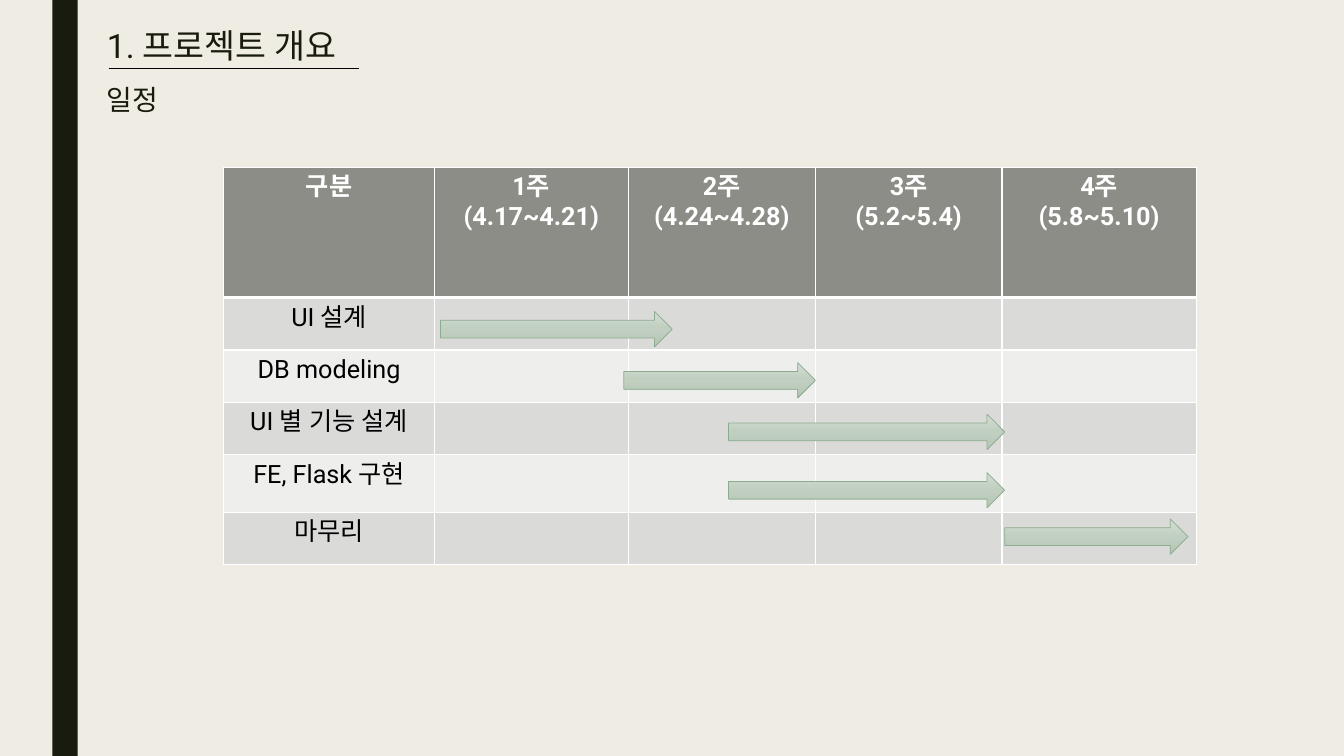
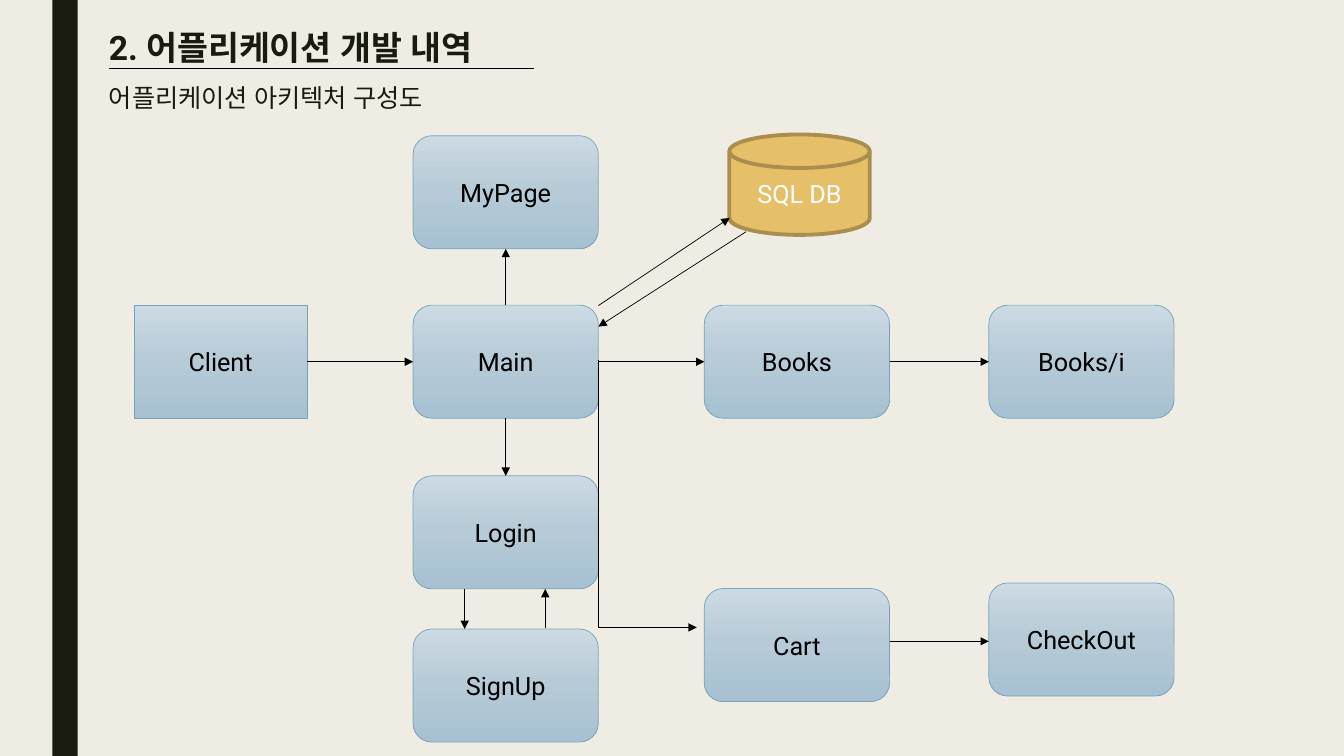
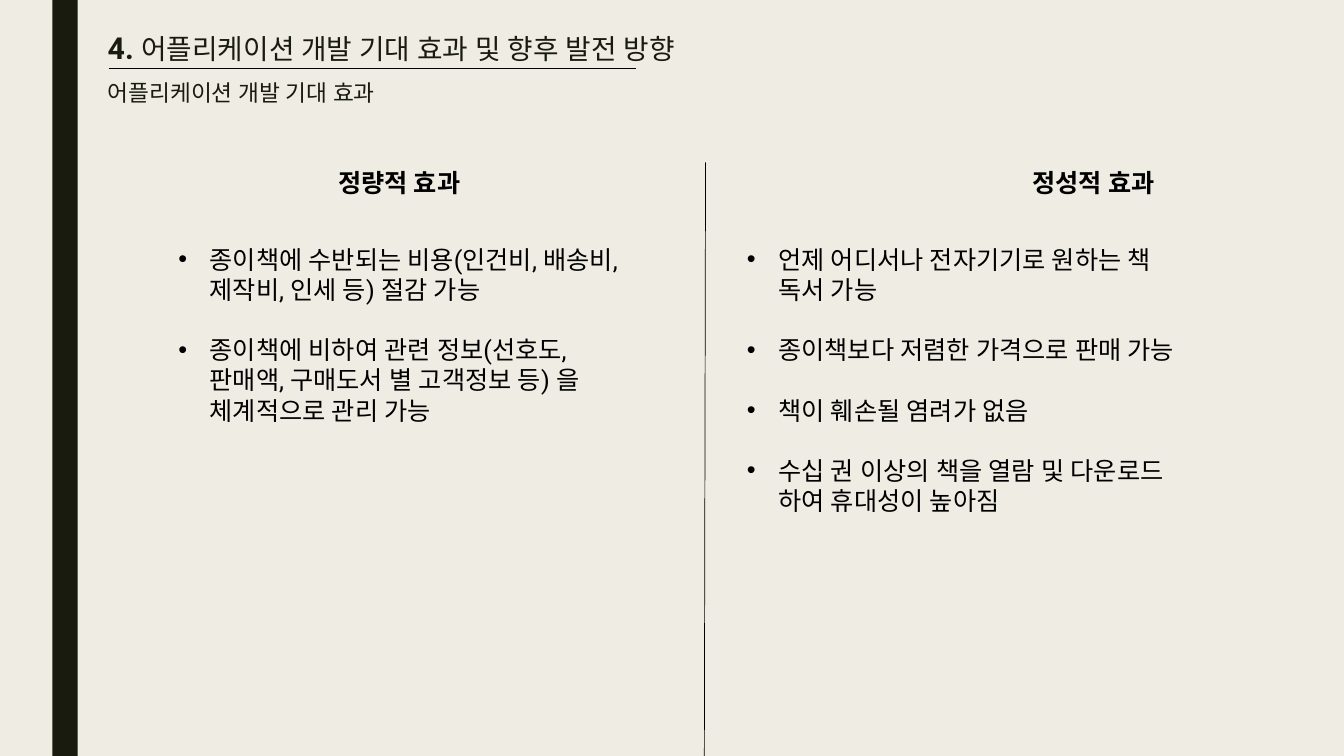
from copy import deepcopy

from lxml import etree
from pptx import Presentation
from pptx.dml.color import RGBColor
from pptx.enum.shapes import MSO_CONNECTOR, MSO_SHAPE
from pptx.enum.text import MSO_ANCHOR, MSO_AUTO_SIZE, PP_ALIGN
from pptx.oxml.ns import qn
from pptx.util import Cm, Pt

RECTANGLE, ROUNDED = MSO_SHAPE.RECTANGLE, MSO_SHAPE.ROUNDED_RECTANGLE
PROCESS, DISK = MSO_SHAPE.FLOWCHART_PROCESS, MSO_SHAPE.FLOWCHART_MAGNETIC_DISK
ARROW = MSO_SHAPE.RIGHT_ARROW
STRAIGHT, ELBOW = MSO_CONNECTOR.STRAIGHT, MSO_CONNECTOR.ELBOW
LEFT, CENTER = PP_ALIGN.LEFT, PP_ALIGN.CENTER
TOP = MSO_ANCHOR.TOP
TOP_SITE, LEFT_SITE, BOTTOM_SITE, RIGHT_SITE = range(4)
TITLE_ONLY, COMPARISON = 5, 4

FONT = "Roboto"
CREAM = RGBColor(0xEF, 0xED, 0xE3)
INK = RGBColor(0x19, 0x1B, 0x0E)
BLACK = RGBColor(0, 0, 0)
WHITE = RGBColor(0xFF, 0xFF, 0xFF)
HEADER_GREY = RGBColor(0x8C, 0x8D, 0x86)
ROW_GREYS = (RGBColor(0xDA, 0xDB, 0xD9), RGBColor(0xEE, 0xEE, 0xED))
GREEN_LINE = RGBColor(0x8D, 0xAB, 0x8E)
GREENS = (RGBColor(0xD3, 0xDD, 0xD3), RGBColor(0xC0, 0xCF, 0xC0), RGBColor(0xB4, 0xC7, 0xB5))
BLUE_LINE = RGBColor(0x77, 0xA2, 0xBB)
BLUES = (RGBColor(0xCC, 0xDA, 0xE3), RGBColor(0xB6, 0xCA, 0xD7), RGBColor(0xA7, 0xC1, 0xD2))
GOLD, GOLD_LINE = RGBColor(0xE6, 0xC0, 0x69), RGBColor(0xAA, 0x8E, 0x4E)

# Content; all lengths are in centimetres
SLIDE_WIDTH, SLIDE_HEIGHT = 33.87, 19.05

# Title: box, end of the rule, lines made of (text, size, bold) runs
SCHEDULE_TITLE = ((2.44, 0, 9.19, 3.05), 9.04,
                  [[("1. 프로젝트 개요", 24, False)], [("일정", 20, False)]])
DIAGRAM_TITLE = ((2.49, 0.05, 14.43, 3.05), 13.46,
                 [[("2. 어플리케이션 개발 내역", 24, True)],
                  [("어플리케이션 아키텍처 구성도", 18, False)]])
EFFECTS_TITLE = ((2.46, 0.15, 20.32, 3.05), 16.03,
                 [[("4. ", 21.6, True),
                   ("어플리케이션 개발 기대 효과 및 향후 발전 방향", 19.8, False)],
                  [("어플리케이션 개발 기대 효과", 16.2, False)]])

WEEKS = [["구분"], ["1주", "(4.17~4.21)"], ["2주", "(4.24~4.28)"],
         ["3주", "(5.2~5.4)"], ["4주", "(5.8~5.10)"]]
TASKS = ["UI 설계", "DB modeling", "UI 별 기능 설계", "FE, Flask 구현", "마무리"]
TABLE_LEFT, TABLE_TOP = 5.64, 4.22
COLUMN_WIDTHS = (5.31, 4.88, 4.72, 4.7, 4.9)
ROW_HEIGHTS = (3.28, 1.32, 1.32, 1.32, 1.45, 1.32)
BAR_HEIGHT = 0.89
BARS = [(11.1, 7.85, 5.84), (15.72, 9.14, 4.83), (18.36, 10.44, 6.96),
        (18.36, 11.91, 6.96), (25.32, 13.08, 4.62)]

NODE_WIDTH, NODE_HEIGHT = 4.67, 2.85
CLIENT_WIDTH = 4.36
MAIN_COLUMN, BOOKS_COLUMN, DETAIL_COLUMN = 10.41, 17.75, 24.92
MAIN_ROW = 7.69
NODES = {"Main": (MAIN_COLUMN, MAIN_ROW), "Login": (MAIN_COLUMN, 11.99),
         "Cart": (BOOKS_COLUMN, 14.83), "Books": (BOOKS_COLUMN, MAIN_ROW),
         "MyPage": (MAIN_COLUMN, 3.42), "CheckOut": (DETAIL_COLUMN, 14.69),
         "SignUp": (MAIN_COLUMN, 15.85), "Client": (3.38, MAIN_ROW),
         "Books/i": (DETAIL_COLUMN, MAIN_ROW)}
DATABASE = ("SQL DB", (18.38, 3.39, 3.54, 2.53))
GLUED_ARROWS = [("Client", RIGHT_SITE, "Main", LEFT_SITE),
                ("Main", RIGHT_SITE, "Books", LEFT_SITE),
                ("Books", RIGHT_SITE, "Books/i", LEFT_SITE),
                ("Main", TOP_SITE, "MyPage", BOTTOM_SITE),
                ("Main", BOTTOM_SITE, "Login", TOP_SITE)]
FREE_ARROWS = [((11.71, 14.84), (11.71, 15.85)), ((13.74, 15.82), (13.74, 14.84)),
               ((22.42, 16.16), (24.92, 16.16)),
               ((15.08, 7.7), (18.39, 5.49)), ((18.8, 5.84), (15.08, 8.23))]
CART_ARROW = ((15.07, 9.08), (17.56, 15.81))

HEADING_TOP, HEADING_WIDTH, HEADING_HEIGHT = 4.09, 10.16, 1.02
LIST_TOP, LIST_WIDTH = 6.02, 11.89
# Heading, heading left, list left, list height, list items
EFFECTS = [
    ("정량적 효과", 4.98, 4.24, 4.88,
     ["종이책에 수반되는 비용(인건비, 배송비, 제작비, 인세 등) 절감 가능",
      "종이책에 비하여 관련 정보(선호도, 판매액, 구매도서 별 고객정보 등) 을 체계적으로 관리 가능"]),
    ("정성적 효과", 22.48, 18.57, 7.95,
     ["언제 어디서나 전자기기로 원하는 책 독서 가능",
      "종이책보다 저렴한 가격으로 판매 가능",
      "책이 훼손될 염려가 없음",
      "수십 권 이상의 책을 열람 및 다운로드 하여 휴대성이 높아짐"]),
]
DIVIDER = ((17.78, HEADING_TOP), (17.75, SLIDE_HEIGHT))


# Text
def add_run(paragraph, text, size=18, color=BLACK, bold=False):
    run = paragraph.add_run()
    run.text = text
    font = run.font
    font.name, font.size, font.bold = FONT, Pt(size), bold
    font.color.rgb = color
    latin = run._r.rPr.find(qn("a:latin"))
    east_asian = etree.Element(qn("a:ea"), typeface=FONT)
    latin.addnext(east_asian)


def write_paragraphs(text_frame, lines, alignment=CENTER, **style):
    for index, line in enumerate(lines):
        paragraph = text_frame.paragraphs[0] if index == 0 else text_frame.add_paragraph()
        paragraph.alignment = alignment
        add_run(paragraph, line, **style)
    return text_frame.paragraphs


def place(shape, left, top, width, height):
    shape.left, shape.top = Cm(left), Cm(top)
    shape.width, shape.height = Cm(width), Cm(height)


def prepare_placeholder(placeholder, box):
    place(placeholder, *box)
    text_frame = placeholder.text_frame
    text_frame.word_wrap = True
    text_frame.auto_size = MSO_AUTO_SIZE.NONE
    text_frame.vertical_anchor = TOP
    return text_frame


# Shapes and lines
def add_plain_shape(slide, kind, box, colors, line_color=None, line_width=0.5):
    shape = slide.shapes.add_shape(kind, *map(Cm, box))
    shape.shadow.inherit = False
    if len(colors) == 1:
        shape.fill.solid()
        shape.fill.fore_color.rgb = colors[0]
    else:
        fill_gradient(shape, colors)
    if line_color is None:
        shape.line.fill.background()
    else:
        shape.line.color.rgb = line_color
        shape.line.width = Pt(line_width)
    return shape


def fill_gradient(shape, colors):
    shape.fill.gradient()
    shape.fill.gradient_angle = 270
    first = shape._element.spPr.find(".//" + qn("a:gs"))
    first.addnext(deepcopy(first))
    stops = shape.fill.gradient_stops
    for index, (stop, color) in enumerate(zip(stops, colors)):
        stop.position = index / (len(colors) - 1)
        stop.color.rgb = color


def add_line(slide, start, end, kind=STRAIGHT, arrow=False):
    connector = slide.shapes.add_connector(kind, *map(Cm, (*start, *end)))
    connector.line.color.rgb = BLACK
    connector.line.width = Pt(0.5)
    properties = connector._element.spPr
    if arrow:
        etree.SubElement(properties.find(qn("a:ln")), qn("a:tailEnd"), type="triangle")
    etree.SubElement(properties, qn("a:effectLst"))
    return connector


def add_corner_arrow(slide, start, end):
    """Arrow that runs down first, then to the right."""
    connector = add_line(slide, start, end, ELBOW, arrow=True)
    across, down = end[0] - start[0], end[1] - start[1]
    middle_x, middle_y = start[0] + across / 2, start[1] + down / 2
    place(connector, middle_x - down / 2, middle_y - across / 2, down, across)
    properties = connector._element.spPr
    frame = properties.find(qn("a:xfrm"))
    frame.set("rot", "16200000")
    frame.set("flipH", "1")
    properties.find(qn("a:prstGeom")).set("prst", "bentConnector2")


# Shared parts
def add_titled_slide(presentation, layout_index, title):
    box, rule_end, lines = title
    slide = presentation.slides.add_slide(presentation.slide_layouts[layout_index])
    paragraph = prepare_placeholder(slide.shapes.title, box).paragraphs[0]
    paragraph.alignment = LEFT
    paragraph.line_spacing = 1.5
    for index, runs in enumerate(lines):
        if index:
            paragraph.add_line_break()
        for text, size, bold in runs:
            add_run(paragraph, text, size, INK, bold)
    add_line(slide, (2.74, 1.73), (rule_end, 1.73))
    return slide


def style_master(presentation, slide):
    master = presentation.slide_master
    master.background.fill.solid()
    master.background.fill.fore_color.rgb = CREAM
    band = add_plain_shape(slide, RECTANGLE, (1.32, 0, 0.64, SLIDE_HEIGHT), [INK])
    master.shapes._spTree.insert(2, band._element)


def format_cell(cell, color, bottom_width):
    properties = cell._tc.get_or_add_tcPr()
    for side, width in (("L", 1), ("R", 1), ("T", 1), ("B", bottom_width)):
        border = etree.SubElement(properties, qn("a:ln" + side), w=str(Pt(width)))
        fill = etree.SubElement(border, qn("a:solidFill"))
        etree.SubElement(fill, qn("a:srgbClr"), val=str(WHITE))
    cell.fill.solid()
    cell.fill.fore_color.rgb = color


presentation = Presentation()
presentation.slide_width, presentation.slide_height = Cm(SLIDE_WIDTH), Cm(SLIDE_HEIGHT)

# Slide 1: schedule
schedule = add_titled_slide(presentation, TITLE_ONLY, SCHEDULE_TITLE)
style_master(presentation, schedule)
table = schedule.shapes.add_table(
    len(ROW_HEIGHTS), len(COLUMN_WIDTHS), Cm(TABLE_LEFT), Cm(TABLE_TOP),
    Cm(sum(COLUMN_WIDTHS)), Cm(sum(ROW_HEIGHTS))).table
for column, width in zip(table.columns, COLUMN_WIDTHS):
    column.width = Cm(width)
for row_index, (row, height) in enumerate(zip(table.rows, ROW_HEIGHTS)):
    row.height = Cm(height)
    for cell in row.cells:
        if row_index == 0:
            format_cell(cell, HEADER_GREY, 3)
        else:
            format_cell(cell, ROW_GREYS[(row_index - 1) % 2], 1)
for column_index, lines in enumerate(WEEKS):
    write_paragraphs(table.cell(0, column_index).text_frame, lines, color=WHITE, bold=True)
for row_index, task in enumerate(TASKS, start=1):
    write_paragraphs(table.cell(row_index, 0).text_frame, [task])
for left, top, width in BARS:
    add_plain_shape(schedule, ARROW, (left, top, width, BAR_HEIGHT), GREENS, GREEN_LINE)

# Slide 2: architecture diagram
diagram = add_titled_slide(presentation, TITLE_ONLY, DIAGRAM_TITLE)
name, box = DATABASE
database = add_plain_shape(diagram, DISK, box, [GOLD], GOLD_LINE, 2.75)
write_paragraphs(database.text_frame, [name], color=WHITE)
nodes = {}
for name, (left, top) in NODES.items():
    kind, width = (PROCESS, CLIENT_WIDTH) if name == "Client" else (ROUNDED, NODE_WIDTH)
    nodes[name] = add_plain_shape(diagram, kind, (left, top, width, NODE_HEIGHT),
                                  BLUES, BLUE_LINE)
    write_paragraphs(nodes[name].text_frame, [name])
for source, source_site, target, target_site in GLUED_ARROWS:
    connector = add_line(diagram, (0, 0), (1, 1), arrow=True)
    connector.begin_connect(nodes[source], source_site)
    connector.end_connect(nodes[target], target_site)
for start, end in FREE_ARROWS:
    add_line(diagram, start, end, arrow=True)
add_corner_arrow(diagram, *CART_ARROW)

# Slide 3: expected effects
effects = add_titled_slide(presentation, COMPARISON, EFFECTS_TITLE)
add_line(effects, *DIVIDER)
placeholders = list(effects.placeholders)[1:]
for index, (heading, heading_left, list_left, list_height, items) in enumerate(EFFECTS):
    heading_box = (heading_left, HEADING_TOP, HEADING_WIDTH, HEADING_HEIGHT)
    heading_frame = prepare_placeholder(placeholders[2 * index], heading_box)
    heading_paragraph, = write_paragraphs(heading_frame, [heading], bold=True)
    heading_paragraph.space_before = Pt(0)
    list_box = (list_left, LIST_TOP, LIST_WIDTH, list_height)
    list_frame = prepare_placeholder(placeholders[2 * index + 1], list_box)
    for paragraph in write_paragraphs(list_frame, items, LEFT):
        paragraph.space_before, paragraph.space_after = Pt(0), Pt(21.5)
        properties = paragraph._p.get_or_add_pPr()
        properties.set("marL", str(Cm(0.79)))
        properties.set("indent", str(-Cm(0.79)))
        etree.SubElement(properties, qn("a:buFont"), typeface="Arial")
        etree.SubElement(properties, qn("a:buChar"), char="•")

presentation.save("out.pptx")
